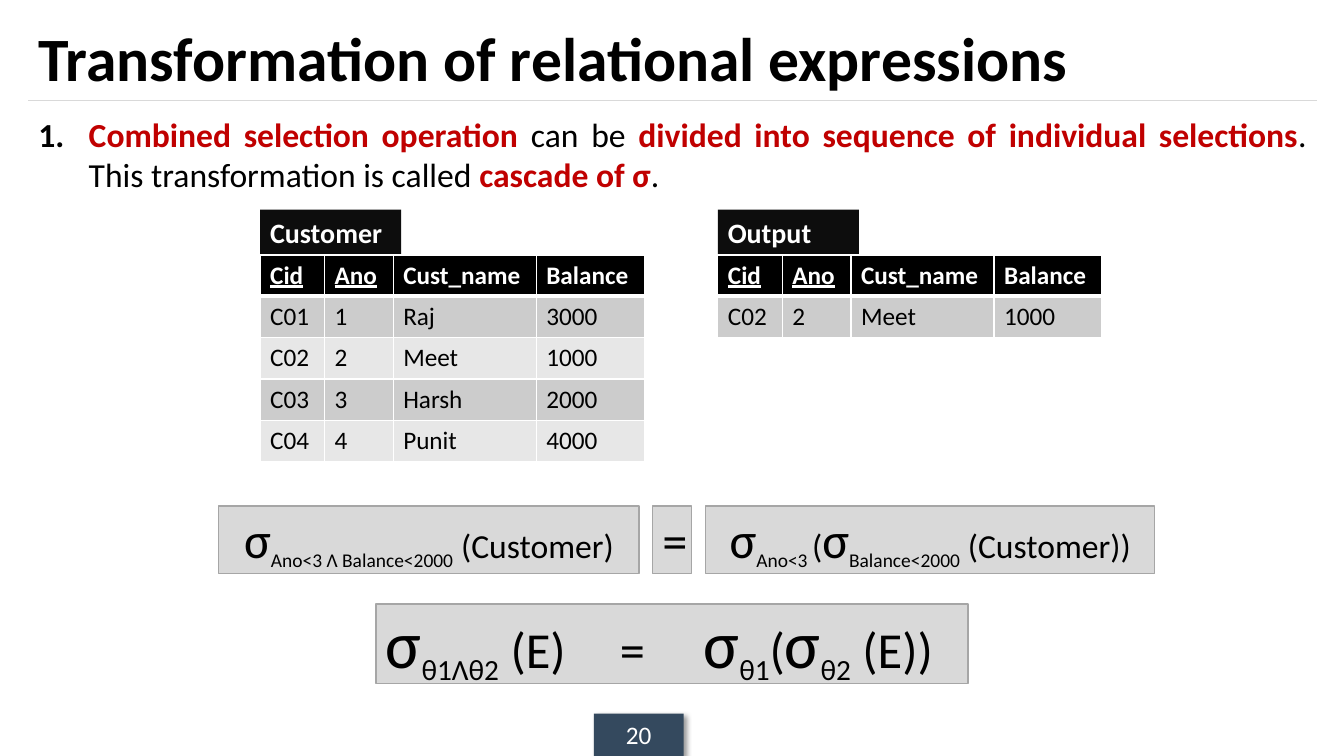
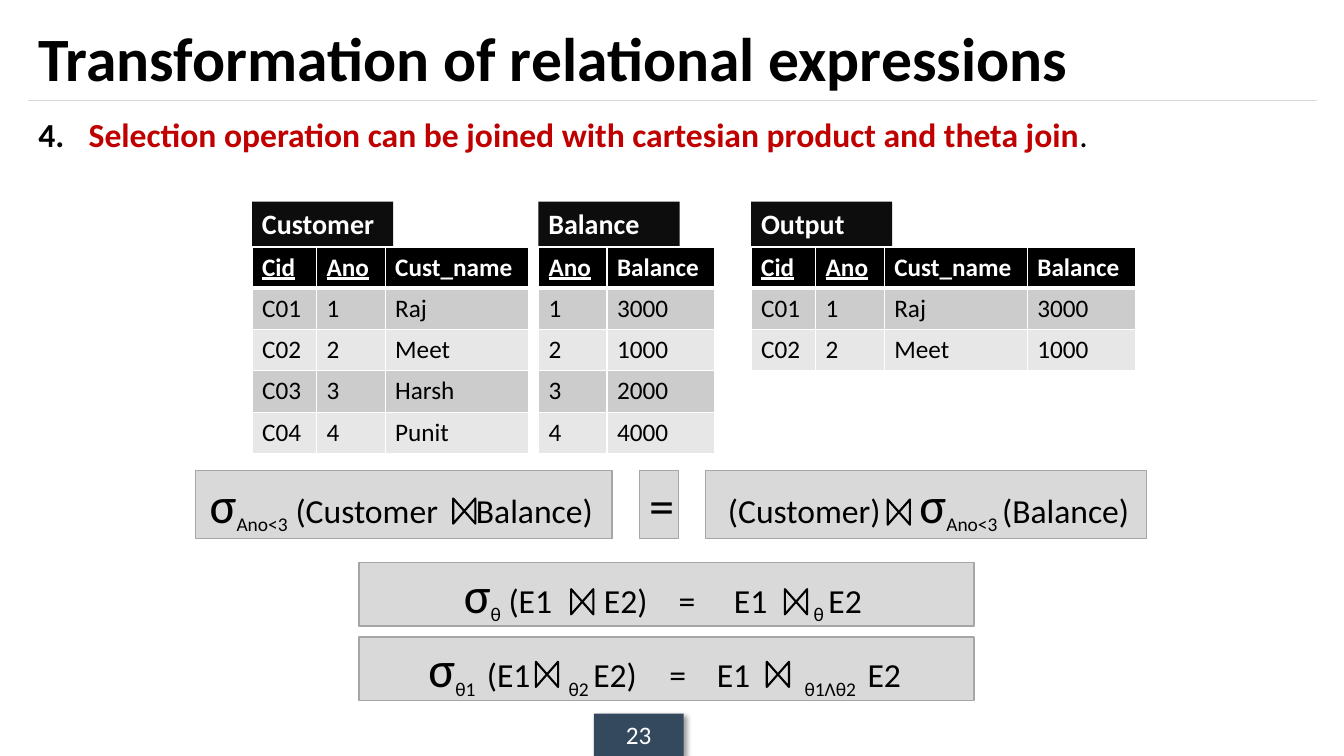
from collections import namedtuple

from lxml.etree import SubElement
from pptx import Presentation
from pptx.dml.color import RGBColor
from pptx.enum.shapes import MSO_CONNECTOR, MSO_SHAPE
from pptx.enum.text import MSO_ANCHOR, MSO_AUTO_SIZE, PP_ALIGN
from pptx.oxml import parse_xml
from pptx.oxml.ns import nsdecls, qn
from pptx.util import Inches, Pt

# Shared style
FONT = "Calibri"
BLACK = RGBColor(0x00, 0x00, 0x00)
WHITE = RGBColor(0xFF, 0xFF, 0xFF)
RED = RGBColor(0xC0, 0x00, 0x00)
LABEL_BLACK = RGBColor(0x0D, 0x0D, 0x0D)
FOOTER_BLUE = RGBColor(0x34, 0x49, 0x5E)
BOX_GRAY = RGBColor(0xD9, 0xD9, 0xD9)
BORDER_GRAY = RGBColor(0xA6, 0xA6, 0xA6)
ROW_DARK = RGBColor(0xCC, 0xCC, 0xCC)
ROW_LIGHT = RGBColor(0xE7, 0xE7, 0xE7)

TITLE = "Transformation of relational expressions"
LEFT, WIDTH = 0.28, 12.78
ROW_HEIGHT = 0.41
LABEL_RISE = 0.45
COLUMN_WIDTHS = {"Cid": 0.64, "Ano": 0.68, "Cust_name": 1.42, "Balance": 1.07}
KEYS = ("Cid", "Ano")

# Formula parts
Part = namedtuple("Part", "text size subscript")


def sigma(size=36):
    return Part("σ", size, False)


def plain(text, size=24):
    return Part(text, size, False)


def subscript(text, size=24):
    return Part(text, size, True)


class Deck:
    def __init__(self):
        self.presentation = Presentation()
        self.presentation.slide_width = Inches(13.33)
        self.presentation.slide_height = Inches(7.5)
        self.slide = None

    def add_slide(self, number):
        layout = self.presentation.slide_layouts[1]
        self.slide = self.presentation.slides.add_slide(layout)
        self.title()
        self.title_rule()
        self.footer(number)

    def format_run(self, run, size, color=BLACK, bold=False):
        run.font.name = FONT
        run.font.size = Pt(size)
        run.font.bold = bold
        run.font.color.rgb = color

    def place(self, shape, left, top, width, height):
        shape.left, shape.top = Inches(left), Inches(top)
        shape.width, shape.height = Inches(width), Inches(height)

    def title(self):
        shape = self.slide.shapes.title
        self.place(shape, LEFT, 0.12, WIDTH, 0.88)
        frame = shape.text_frame
        frame.text = TITLE
        frame.auto_size = MSO_AUTO_SIZE.NONE
        frame.vertical_anchor = MSO_ANCHOR.MIDDLE
        paragraph = frame.paragraphs[0]
        paragraph.alignment = PP_ALIGN.LEFT
        self.format_run(paragraph.runs[0], 44, bold=True)

    def title_rule(self):
        rule = self.slide.shapes.add_connector(
            MSO_CONNECTOR.STRAIGHT, Inches(LEFT), Inches(1),
            Inches(LEFT + WIDTH), Inches(1))
        rule.line.color.rgb = BOX_GRAY
        rule.line.width = Pt(0.75)
        SubElement(rule._element.spPr, qn("a:effectLst"))

    def shape(self, kind, left, top, width, height, fill, line=None, weight=1):
        shape = self.slide.shapes.add_shape(
            kind, Inches(left), Inches(top), Inches(width), Inches(height))
        shape.shadow.inherit = False
        shape.fill.solid()
        shape.fill.fore_color.rgb = fill
        if line is None:
            shape.line.fill.background()
        else:
            shape.line.color.rgb = line
            shape.line.width = Pt(weight)
        return shape

    def text_box(self, text, left, top, width, height, fill, size, bold, alignment):
        shape = self.shape(MSO_SHAPE.RECTANGLE, left, top, width, height, fill)
        shape.text_frame.text = text
        paragraph = shape.text_frame.paragraphs[0]
        paragraph.alignment = alignment
        self.format_run(paragraph.runs[0], size, WHITE, bold)
        return shape

    def footer(self, number):
        shape = self.text_box(str(number), 5.89, 7.08, 0.89, 0.42,
                              FOOTER_BLUE, 18, False, PP_ALIGN.CENTER)
        effects = shape._element.spPr.find(qn("a:effectLst"))
        effects.append(parse_xml(
            f'<a:outerShdw {nsdecls("a")} blurRad="{Pt(4)}" dist="{Pt(3)}" '
            'dir="2700000" algn="tl" rotWithShape="0"><a:srgbClr val="000000">'
            '<a:alpha val="40000"/></a:srgbClr></a:outerShdw>'))

    def rule_text(self, number, *phrases):
        """Numbered rule whose phrases alternate between bold red and plain."""
        shape = self.slide.placeholders[1]
        self.place(shape, LEFT, 1.08, WIDTH, 5.83)
        shape.text_frame.auto_size = MSO_AUTO_SIZE.NONE
        paragraph = shape.text_frame.paragraphs[0]
        paragraph.alignment = PP_ALIGN.JUSTIFY
        paragraph.space_before = Pt(9)
        for index, phrase in enumerate(phrases):
            run = paragraph.add_run()
            run.text = phrase
            key = index % 2 == 0
            self.format_run(run, 24, RED if key else BLACK, key)
        properties = paragraph._p.get_or_add_pPr()
        properties.set("marL", str(Inches(0.5)))
        properties.set("indent", str(-Inches(0.5)))
        color = SubElement(properties, qn("a:buClr"))
        SubElement(color, qn("a:srgbClr"), val=str(BLACK))
        SubElement(properties, qn("a:buFont"), typeface="+mj-lt")
        SubElement(properties, qn("a:buAutoNum"), type="arabicPeriod", startAt=str(number))

    def cell(self, cell, text, fill, color, bold, underline, bottom):
        cell.text = text
        run = cell.text_frame.paragraphs[0].runs[0]
        self.format_run(run, 18, color, bold)
        run.font.underline = underline
        properties = cell._tc.get_or_add_tcPr()
        for side, weight in (("L", 1), ("R", 1), ("T", 1), ("B", bottom)):
            border = SubElement(properties, qn(f"a:ln{side}"), w=str(Pt(weight)))
            border_fill = SubElement(border, qn("a:solidFill"))
            SubElement(border_fill, qn("a:srgbClr"), val=str(WHITE))
        cell.fill.solid()
        cell.fill.fore_color.rgb = fill

    def relation(self, name, left, top, columns, records):
        """Named table showing the chosen columns of the records."""
        widths = [COLUMN_WIDTHS[column] for column in columns]
        table = self.slide.shapes.add_table(
            len(records) + 1, len(columns), Inches(left), Inches(top),
            Inches(sum(widths)), Inches(ROW_HEIGHT * (len(records) + 1))).table
        for row in table.rows:
            row.height = Inches(ROW_HEIGHT)
        for index, column in enumerate(columns):
            table.columns[index].width = Inches(widths[index])
            self.cell(table.cell(0, index), column, BLACK, WHITE, True, column in KEYS, 3)
            for row_index, record in enumerate(records, 1):
                fill = ROW_DARK if row_index % 2 else ROW_LIGHT
                self.cell(table.cell(row_index, index), record[column],
                          fill, BLACK, False, False, 1)
        self.text_box(name, left, top - LABEL_RISE, 1.4, 0.44,
                      LABEL_BLACK, 20, True, PP_ALIGN.LEFT)

    def formula(self, left, top, width, height, parts, start=None, stops=()):
        """Centred formula, or one from start with tab stops, both slide positions."""
        shape = self.shape(MSO_SHAPE.RECTANGLE, left, top, width, height,
                           BOX_GRAY, BORDER_GRAY)
        frame = shape.text_frame
        paragraph = frame.paragraphs[0]
        paragraph.alignment = PP_ALIGN.CENTER
        for part in parts:
            run = paragraph.add_run()
            run.text = part.text
            self.format_run(run, part.size)
            if part.subscript:
                run._r.get_or_add_rPr().set("baseline", "-25000")
        if start is not None:
            paragraph.alignment = PP_ALIGN.LEFT
            frame.margin_left = Inches(start - left)
            frame.margin_right = 0
            tabs = SubElement(paragraph._p.get_or_add_pPr(), qn("a:tabLst"))
            for stop in stops:
                SubElement(tabs, qn("a:tab"), pos=str(Inches(stop - start)), algn="l")

    def equals(self, left, top):
        self.formula(left, top, 0.39, 0.67, [plain("=", 36)])

    def join(self, left, top):
        shape = self.shape(MSO_SHAPE.FLOWCHART_COLLATE, left, top, 0.25, 0.22,
                           BOX_GRAY, BLACK, 1.5)
        shape.rotation = 90


# Sample data
COLUMNS = tuple(COLUMN_WIDTHS)
CUSTOMERS = [dict(zip(COLUMNS, values)) for values in (
    ("C01", "1", "Raj", "3000"),
    ("C02", "2", "Meet", "1000"),
    ("C03", "3", "Harsh", "2000"),
    ("C04", "4", "Punit", "4000"),
)]

deck = Deck()

# Cascade of selections
deck.add_slide(20)
deck.rule_text(1, "Combined selection operation ", "can be ",
               "divided into sequence of individual selections",
               ". This transformation is called ", "cascade of σ", ".")
deck.relation("Customer", 2.58, 2.53, COLUMNS, CUSTOMERS)
deck.relation("Output", 7.12, 2.53, COLUMNS, CUSTOMERS[1:2])
deck.formula(2.17, 5.02, 4.17, 0.67, [
    sigma(), subscript("Ano<3 Λ Balance<2000"), plain(" (Customer)")])
deck.equals(6.47, 5.02)
deck.formula(7, 5.02, 4.45, 0.67, [
    sigma(), subscript("Ano<3 "), plain("("),
    sigma(), subscript("Balance<2000"), plain(" (Customer))")])
deck.formula(3.73, 5.99, 5.87, 0.79, [
    sigma(48), subscript("θ1Λθ2", 36), plain(" (E)\t=\t", 36),
    sigma(48), subscript("θ1", 36), plain("(", 36),
    sigma(48), subscript("θ2", 36), plain(" (E))", 36)],
    start=3.83, stops=(6.15, 6.98))

# Selection with product and theta join
deck.add_slide(23)
deck.rule_text(
    4, "Selection operation can be joined with cartesian product and theta join", ".")
deck.relation("Customer", 2.5, 2.45, COLUMNS[:3], CUSTOMERS)
deck.relation("Balance", 5.34, 2.45, COLUMNS[1::2], CUSTOMERS)
deck.relation("Output", 7.45, 2.45, COLUMNS, CUSTOMERS[:2])
deck.formula(1.94, 4.67, 4.13, 0.67, [
    sigma(), subscript("Ano<3"), plain(" (Customer\tBalance)")],
    start=2.08, stops=(4.72,))
deck.equals(6.34, 4.67)
deck.formula(7, 4.67, 4.37, 0.67, [
    plain("(Customer)\t"), sigma(), subscript("Ano<3 "), plain("(Balance)")],
    start=7.22, stops=(9.12,))
deck.formula(3.56, 5.58, 6.1, 0.63, [
    sigma(), subscript("θ"), plain(" (E1\tE2)\t=\tE1\t"), subscript("θ "), plain("E2")],
    start=4.6, stops=(5.99, 6.73, 7.28, 8.07))
deck.formula(3.56, 6.32, 6.1, 0.63, [
    sigma(), subscript("θ1"), plain(" ", 36), plain("(E1\t"), subscript("θ2 "),
    plain("E2)\t=\tE1\t"), subscript("θ1Λθ2"), plain(" ", 36), plain("E2")],
    start=4.25, stops=(5.64, 6.64, 7.11, 7.98))
for left, top in ((4.48, 4.96), (8.79, 4.97), (5.65, 5.86),
                  (7.77, 5.86), (5.3, 6.58), (7.59, 6.58)):
    deck.join(left, top)

deck.presentation.save("out.pptx")
